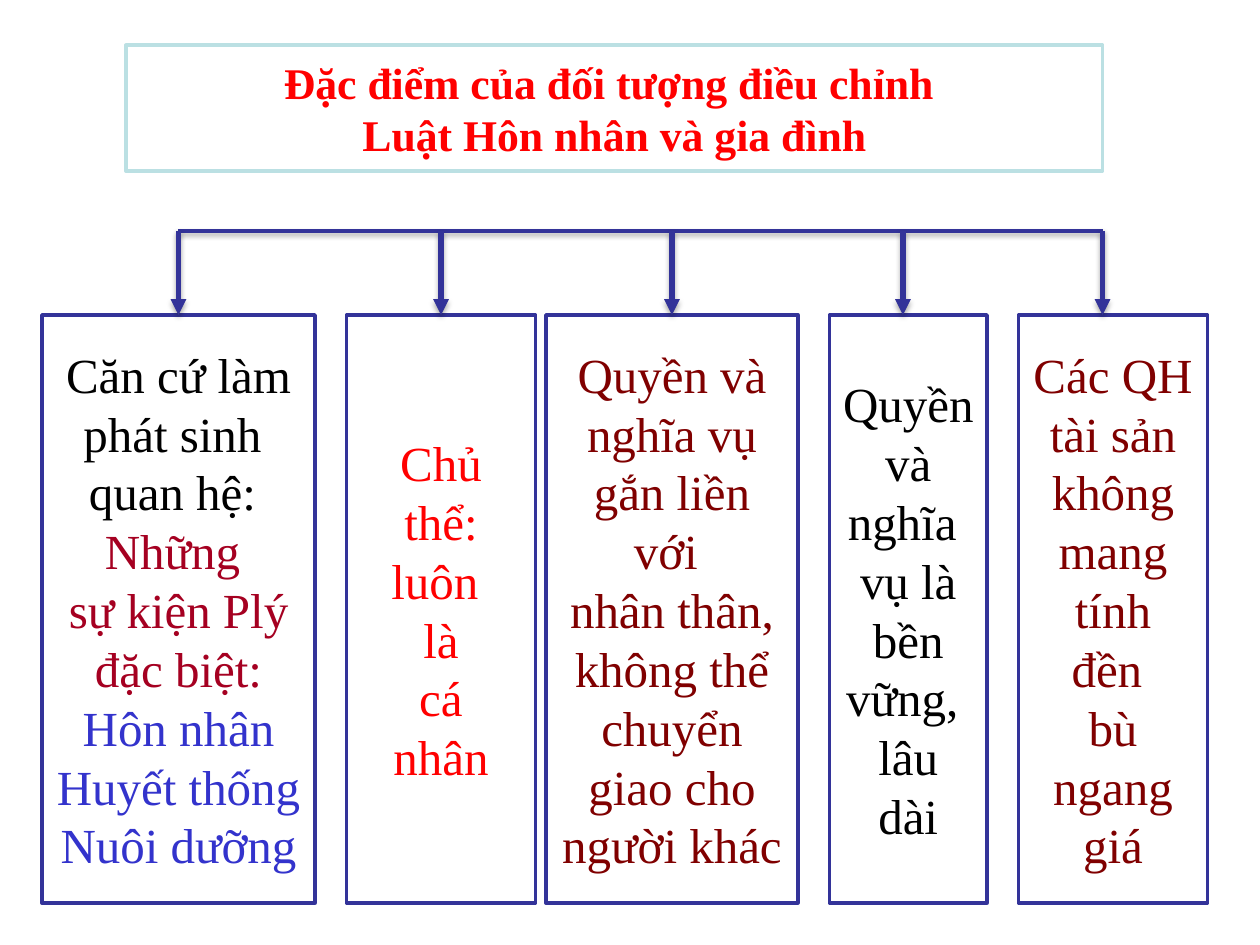
from lxml import etree
from pptx import Presentation
from pptx import util as u
from pptx.dml.color import RGBColor
from pptx.enum import shapes, text
from pptx.oxml.ns import qn

PX = u.Inches(1) // 120
FONT = "Times New Roman"
COLORS = {
    "white": "FFFFFF", "navy": "333399", "pale": "BBE0E3", "black": "000000",
    "red": "FF0000", "crimson": "A50021", "blue": "3333CC", "maroon": "800000",
}

# Each column: left, width, arrow x, and its lines grouped by colour
COLUMNS = [
    (40, 260, 170, [
        ("black", ["Căn cứ làm", "phát sinh ", "quan hệ: "]),
        ("crimson", ["Những ", "sự kiện Plý", "đặc biệt:"]),
        ("blue", ["Hôn nhân", "Huyết thống", "Nuôi dưỡng"])]),
    (330, 180, 420, [
        ("red", ["Chủ", "thể:", "luôn ", "là", "cá", "nhân"])]),
    (520, 240, 640, [
        ("maroon", ["Quyền và", "nghĩa vụ", "gắn liền", "với ", "nhân thân,",
                    "không thể", "chuyển", "giao cho", "người khác"])]),
    (790, 150, 860, [
        ("black", ["Quyền", "và", "nghĩa ", "vụ là", "bền", "vững, ", "lâu", "dài"])]),
    (970, 180, 1050, [
        ("maroon", ["Các QH", "tài sản", "không", "mang", "tính", "đền ", "bù",
                    "ngang", "giá"])]),
]


def rgb(name):
    return RGBColor.from_string(COLORS[name])


def outline(shape, color):
    shape.fill.solid()
    shape.fill.fore_color.rgb = rgb("white")
    shape.line.color.rgb = rgb(color)
    shape.line.width = u.Pt(2)
    shape.shadow.inherit = False


def style_text(paragraph, size, color, bold=False):
    paragraph.alignment = text.PP_ALIGN.CENTER
    for run in paragraph.runs:
        run.font.name = FONT
        run.font.size = u.Pt(size)
        run.font.bold = bold
        run.font.color.rgb = rgb(color)


def add_line(parts, x1, y1, x2, y2, width, shadow_gap, opacity):
    line = parts.add_connector(shapes.MSO_CONNECTOR.STRAIGHT,
                               *(v * PX for v in (x1, y1, x2, y2)))
    line.line.color.rgb = rgb("navy")
    line.line.width = u.Pt(width)
    # Soft shadow straight below the line
    effects = etree.SubElement(line._element.spPr, qn("a:effectLst"))
    shadow = etree.SubElement(effects, qn("a:outerShdw"), blurRad="40000",
                              dist=str(shadow_gap), dir="5400000", rotWithShape="0")
    shade = etree.SubElement(shadow, qn("a:srgbClr"), val=COLORS["black"])
    etree.SubElement(shade, qn("a:alpha"), val=str(opacity * 1000))
    return line


def add_arrow(parts, x, top, bottom):
    arrow = add_line(parts, x, top, x, bottom, 3, 23000, 35)
    etree.SubElement(arrow.line._get_or_add_ln(), qn("a:tailEnd"), type="triangle")
    return arrow


def add_column(parts, left, top, width, height, groups):
    column = parts.add_shape(shapes.MSO_SHAPE.RECTANGLE,
                             *(v * PX for v in (left, top, width, height)))
    outline(column, "navy")
    frame = column.text_frame
    frame.word_wrap = False
    frame.vertical_anchor = text.MSO_ANCHOR.MIDDLE
    lines = [(color, line) for color, group in groups for line in group]
    frame.text = "\n".join(line for _, line in lines)
    for paragraph, (color, _) in zip(frame.paragraphs, lines):
        style_text(paragraph, 28, color)
    return column


def place_title(title, left, top, width, height):
    title.left, title.top, title.width, title.height = (
        v * PX for v in (left, top, width, height))
    # Rounded outline on the placeholder itself
    geometry = etree.SubElement(title._element.spPr, qn("a:prstGeom"), prst="roundRect")
    etree.SubElement(geometry, qn("a:avLst"))
    outline(title, "pale")
    frame = title.text_frame
    frame.text = "Đặc điểm của đối tượng điều chỉnh \vLuật Hôn nhân và gia đình".replace("\v", "\n")
    frame.paragraphs[0].text = "Đặc điểm của đối tượng điều chỉnh \vLuật Hôn nhân và gia đình"
    for extra in frame.paragraphs[1:]:
        extra._p.getparent().remove(extra._p)
    frame.word_wrap = True
    frame.auto_size = text.MSO_AUTO_SIZE.NONE
    frame.vertical_anchor = text.MSO_ANCHOR.MIDDLE
    style_text(frame.paragraphs[0], 25, "red", bold=True)


def build_tree(parts, top, rail_drop, height):
    # Horizontal rail from the first arrow to the last
    add_line(parts, COLUMNS[0][2], top, COLUMNS[-1][2], top, 2, 20000, 38)
    box_top = top + rail_drop
    for left, width, arrow_x, groups in COLUMNS:
        column = add_column(parts, left, box_top, width, height, groups)
        arrow = add_arrow(parts, arrow_x, top, box_top)
        if arrow_x == left + width // 2:
            arrow.end_connect(column, 0)


def main():
    prs = Presentation()
    prs.slide_width, prs.slide_height = 1200 * PX, 900 * PX
    slide = prs.slides.add_slide(prs.slide_layouts[5])
    build_tree(slide.shapes, 220, 80, 560)
    place_title(slide.shapes.title, 120, 43, 930, 120)
    prs.save("out.pptx")


if __name__ == "__main__":
    main()
